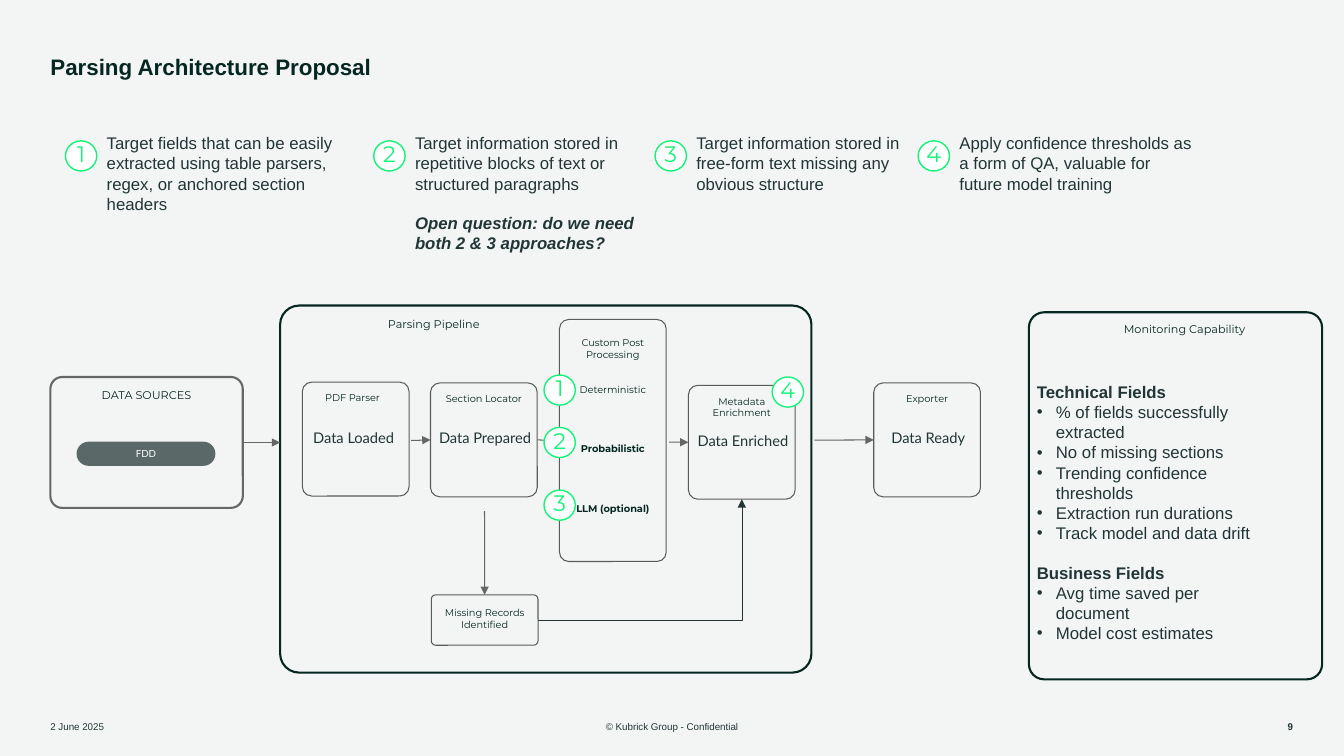
from dataclasses import dataclass, replace

from lxml import etree
from pptx import Presentation
from pptx.dml.color import RGBColor
from pptx.enum.shapes import MSO_CONNECTOR, MSO_SHAPE
from pptx.enum.text import MSO_ANCHOR, MSO_AUTO_SIZE, PP_ALIGN
from pptx.oxml.ns import qn
from pptx.util import Cm, Pt

STRAIGHT, ELBOW = MSO_CONNECTOR.STRAIGHT, MSO_CONNECTOR.ELBOW
ROUNDED, OVAL = MSO_SHAPE.ROUNDED_RECTANGLE, MSO_SHAPE.OVAL
LEFT, CENTER, RIGHT = PP_ALIGN.LEFT, PP_ALIGN.CENTER, PP_ALIGN.RIGHT
TOP, MIDDLE = MSO_ANCHOR.TOP, MSO_ANCHOR.MIDDLE
SIDE_TOP, SIDE_LEFT, SIDE_BOTTOM, SIDE_RIGHT = range(4)


@dataclass(frozen=True)
class Style:
    """Look of a paragraph; gap is the space before it in points."""
    font: str
    size: float
    color: str
    align: int = LEFT
    bold: bool = False
    italic: bool = False
    spacing: object = None
    gap: float = 0
    bullet: bool = False


@dataclass(frozen=True)
class Theme:
    """Colours and text styles of the slide."""
    paper: str = "F2F5F4"
    dark: str = "062721"
    arrow: str = "666666"
    stage: str = "5B5B5B"
    pill: str = "5A6868"
    ink: str = "223536"
    green: str = "14F278"
    white: str = "FFFFFF"
    title: Style = Style("Arial", 16, dark, bold=True, spacing=0.9)
    body: Style = Style("Arial", 12, ink)
    footer: Style = Style("Arial", 7, ink)
    heading: Style = Style("Montserrat", 8, dark, CENTER)
    label: Style = Style("Montserrat", 7, dark, CENTER)
    caption: Style = Style("Lato", 10.5, ink, CENTER, spacing=0.8)
    source: Style = Style("Lato", 7, white, CENTER)
    number: Style = Style("Montserrat", 16, green, CENTER, spacing=Pt(16))


THEME = Theme()
STAGE_WIDTH, STAGE_HEIGHT = 2.69, 2.87


def write(frame, lines, inset=0, anchor=TOP, wrap=True):
    """Fill a text frame with (text, style) paragraphs."""
    frame.auto_size = MSO_AUTO_SIZE.NONE
    frame.word_wrap = wrap
    frame.vertical_anchor = anchor
    frame.margin_left = frame.margin_right = Cm(inset)
    frame.margin_top = frame.margin_bottom = Cm(inset)
    for index, (text, style) in enumerate(lines):
        paragraph = frame.add_paragraph() if index else frame.paragraphs[0]
        paragraph.alignment = style.align
        paragraph.space_before = Pt(style.gap)
        if style.spacing:
            paragraph.line_spacing = style.spacing
        if style.bullet:
            properties = paragraph._p.get_or_add_pPr()
            properties.set("marL", str(Cm(0.48)))
            properties.set("indent", str(-Cm(0.48)))
            etree.SubElement(properties, qn("a:buFont")).set("typeface", "Arial")
            etree.SubElement(properties, qn("a:buChar")).set("char", "•")
        run = paragraph.add_run()
        run.text = text
        run.font.name, run.font.size = style.font, Pt(style.size)
        run.font.bold, run.font.italic = style.bold, style.italic
        run.font.color.rgb = RGBColor.from_string(style.color)


def add_text(slide, left, top, width, height, *lines, inset=0):
    """Place a text box."""
    box = slide.shapes.add_textbox(Cm(left), Cm(top), Cm(width), Cm(height))
    write(box.text_frame, lines, inset)


def add_box(slide, left, top, width, height, kind=ROUNDED, fill=None, line=None, weight=0.75, corner=None):
    """Place a flat shape."""
    shape = slide.shapes.add_shape(kind, Cm(left), Cm(top), Cm(width), Cm(height))
    shape.shadow.inherit = False
    if fill:
        shape.fill.solid()
        shape.fill.fore_color.rgb = RGBColor.from_string(fill)
    else:
        shape.fill.background()
    if line:
        shape.line.color.rgb = RGBColor.from_string(line)
        shape.line.width = Pt(weight)
    else:
        shape.line.fill.background()
    if corner is not None:
        shape.adjustments[0] = corner
    return shape


def add_arrow(slide, start, end, begin_shape=None, end_shape=None, begin_side=SIDE_RIGHT,
              end_side=SIDE_LEFT, kind=STRAIGHT, color=THEME.arrow, weight=0.75):
    """Draw an arrow and join it to the shapes given."""
    connector = slide.shapes.add_connector(kind, *(Cm(length) for length in (*start, *end)))
    if begin_shape is not None:
        connector.begin_connect(begin_shape, begin_side)
    if end_shape is not None:
        connector.end_connect(end_shape, end_side)
    connector.line.color.rgb = RGBColor.from_string(color)
    connector.line.width = Pt(weight)
    etree.SubElement(connector.line._get_or_add_ln(), qn("a:tailEnd")).set("type", "triangle")
    properties = connector._element.spPr
    etree.SubElement(properties, qn("a:effectLst"))
    if kind == ELBOW:
        properties.find(qn("a:prstGeom")).set("prst", "bentConnector2")


def add_number(slide, left, top, number):
    """Draw a numbered circle."""
    circle = add_box(slide, left, top, 0.79, 0.76, OVAL, THEME.white, THEME.green, 1)
    write(circle.text_frame, [(str(number), THEME.number)], anchor=MIDDLE, wrap=False)


def add_stage(slide, left, top, heading, caption, shift=0):
    """Draw a pipeline stage with its heading and caption."""
    shape = add_box(slide, left, top, STAGE_WIDTH, STAGE_HEIGHT, line=THEME.stage, corner=0.087)
    add_text(slide, left + shift, top + 0.25, STAGE_WIDTH, 0.6, (heading, THEME.label))
    add_text(slide, left + shift + 0.08, top + 1.25, 2.59, 0.36, (caption, THEME.caption))
    return shape


def add_point(slide, left, top, number, *lines):
    """Draw a numbered point with its explanation."""
    add_number(slide, left, top + 0.2, number)
    add_text(slide, left + 1.04, top, 5.92, 2.06, *lines)


def add_sources(slide, left, top, width, height):
    """Draw the data sources panel."""
    panel = add_box(slide, left, top, width, height, fill=THEME.paper, line=THEME.arrow, weight=1.5, corner=0.091)
    add_text(slide, left + 0.1, top + 0.03, width - 0.2, 0.86, ("DATA SOURCES", THEME.heading), inset=0.25)
    pill = add_box(slide, left + 0.66, top + 1.63, 3.5, 0.61, fill=THEME.pill, corner=0.5)
    write(pill.text_frame, [("FDD", THEME.source)], inset=0.25, anchor=MIDDLE)
    return panel


def add_pipeline(slide, left, top, width, height):
    """Draw the parsing pipeline with its stages and arrows."""
    add_box(slide, left, top, width, height, line=THEME.dark, weight=1.5, corner=0.052)
    add_text(slide, left + 1.55, top + 0.05, 4.65, 0.86, ("Parsing Pipeline", THEME.heading), inset=0.25)
    add_stage(slide, left + 0.56, top + 1.93, "PDF Parser", "Data Loaded", shift=-0.08)
    locator = add_stage(slide, left + 3.79, top + 1.95, "Section Locator", "Data Prepared")
    processing = add_box(slide, left + 7.04, top + 0.35, STAGE_WIDTH, 6.1, line=THEME.stage, corner=0.087)
    strong = replace(THEME.label, bold=True, gap=34)
    add_text(slide, left + 7.04, top + 0.78, STAGE_WIDTH, 4.78,
             ("Custom Post Processing", THEME.label),
             ("Deterministic", replace(THEME.label, gap=17)),
             ("Probabilistic", strong), ("LLM (optional)", strong))
    enrichment = add_stage(slide, left + 10.29, top + 2.01, "Metadata Enrichment", "Data Enriched")
    missing = add_box(slide, left + 3.81, top + 7.29, STAGE_WIDTH, 1.27, line=THEME.stage, corner=0.087)
    add_text(slide, left + 3.81, top + 7.59, STAGE_WIDTH, 0.6,
             ("Missing Records", THEME.label), ("Identified", THEME.label))

    middle = top + 3.4
    add_arrow(slide, (left + 3.3, middle), (left + 3.79, middle), end_shape=locator)
    add_arrow(slide, (left + 6.48, middle), (left + 7.04, middle), locator, processing)
    add_arrow(slide, (left + 9.8, top + 3.44), (left + 10.29, top + 3.44), end_shape=enrichment)
    add_arrow(slide, (left + 5.15, top + 5.18), (left + 5.15, top + 7.29), end_shape=missing, end_side=SIDE_TOP)
    add_arrow(slide, (left + 6.5, top + 7.92), (left + 11.63, top + 4.88), missing, enrichment,
              end_side=SIDE_BOTTOM, kind=ELBOW, color=THEME.ink, weight=0.25)
    for number, offset in enumerate((1.75, 3.07, 4.65), 1):
        add_number(slide, left + 6.65, top + offset, number)
    add_number(slide, left + 12.4, top + 1.8, 4)


def add_monitoring(slide, left, top, width, height):
    """Draw the monitoring panel with its field lists."""
    add_box(slide, left, top, width, height, line=THEME.dark, weight=1.5, corner=0.052)
    add_text(slide, left + 1.6, top, 4.65, 0.86, ("Monitoring Capability", THEME.heading), inset=0.25)
    strong, item = replace(THEME.body, bold=True), replace(THEME.body, bullet=True)
    technical = ("% of fields successfully extracted", "No of missing sections",
                 "Trending confidence thresholds", "Extraction run durations", "Track model and data drift")
    business = ("Avg time saved per document", "Model cost estimates")
    add_text(slide, left + 0.2, top + 1.75, 5.92, 7.7,
             ("Technical Fields", strong), *((text, item) for text in technical),
             ("Business Fields", replace(strong, gap=13.8)), *((text, item) for text in business))


def add_title(slide, left, top, width, height):
    """Move and format the title placeholder."""
    title = slide.shapes.title
    title.left, title.top, title.width, title.height = Cm(left), Cm(top), Cm(width), Cm(height)
    write(title.text_frame, [("Parsing Architecture Proposal", THEME.title)])


def add_footer(slide, top):
    """Place the date, copyright line and page number."""
    add_text(slide, 1.27, top, 7.62, 0.5, ("2 June 2025", THEME.footer))
    add_text(slide, 11.22, top, 11.43, 0.5, ("© Kubrick Group - Confidential", replace(THEME.footer, align=CENTER)))
    add_text(slide, 24.97, top, 7.62, 0.5, ("9", replace(THEME.footer, align=RIGHT, bold=True)))


def main():
    """Build and save the slide."""
    presentation = Presentation()
    presentation.slide_width, presentation.slide_height = Cm(33.87), Cm(19.05)
    slide = presentation.slides.add_slide(presentation.slide_layouts[5])
    slide.background.fill.solid()
    slide.background.fill.fore_color.rgb = RGBColor.from_string(THEME.paper)

    add_title(slide, 1.27, 1.42, 22.5, 0.81)
    question = replace(THEME.body, bold=True, italic=True, gap=13.8)
    points = (
        (1.65, [("Target fields that can be easily extracted using table parsers, "
                 "regex, or anchored section headers", THEME.body)]),
        (9.42, [("Target information stored in repetitive blocks of text or structured paragraphs", THEME.body),
                ("Open question: do we need both 2 & 3 approaches?", question)]),
        (16.51, [("Target information stored in free-form text missing any obvious structure", THEME.body)]),
        (23.14, [("Apply confidence thresholds as a form of QA, valuable for future model training", THEME.body)]),
    )
    for number, (left, lines) in enumerate(points, 1):
        add_point(slide, left, 3.35, number, *lines)
    sources = add_sources(slide, 1.27, 9.5, 4.85, 3.3)
    add_pipeline(slide, 7.06, 7.7, 13.39, 9.25)
    add_arrow(slide, (6.12, 11.15), (7.06, 11.15), begin_shape=sources)
    exporter = add_stage(slide, 22.02, 9.65, "Exporter", "Data Ready")
    add_arrow(slide, (20.52, 11.09), (22.02, 11.09), end_shape=exporter)
    add_monitoring(slide, 25.93, 7.87, 7.39, 9.25)
    add_footer(slide, 18.16)
    presentation.save("out.pptx")


if __name__ == "__main__":
    main()
